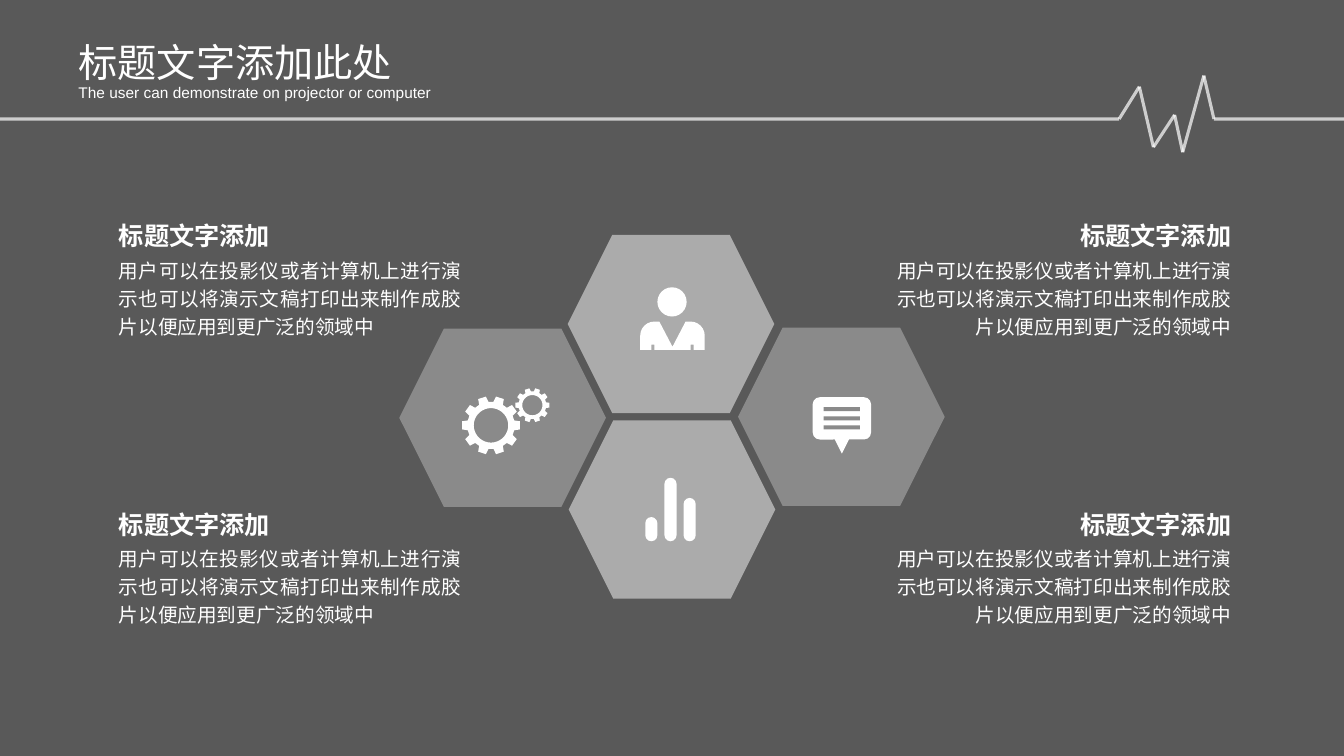
import math
import pptx
import pptx.util
import pptx.dml.color
import pptx.enum.shapes
import pptx.enum.text
import pptx.oxml
import pptx.oxml.ns

Inches = pptx.util.Inches
KIND = pptx.enum.shapes.MSO_SHAPE
ALIGN = pptx.enum.text.PP_ALIGN
FIT = pptx.enum.text.MSO_AUTO_SIZE
ANCHOR = pptx.enum.text.MSO_ANCHOR

COLORS = {"black": "000000", "cell": "FEFEFE", "bar": "8A8A8A", "white": "FFFFFF"}
HEAD = "标题文字添加"
BODY = "用户可以在投影仪或者计算机上进行演示也可以将演示文稿打印出来制作成胶片以便应用到更广泛的领域中"


def color(name):
    """Return the named colour."""
    return pptx.dml.color.RGBColor.from_string(COLORS[name])


def fade(shape, alpha):
    """Make the first colour of a shape see-through, alpha in percent."""
    tint = shape._element.spPr.xpath(".//a:srgbClr")[0]
    tint.append(pptx.oxml.parse_xml(
        '<a:alpha %s val="%d"/>' % (pptx.oxml.ns.nsdecls("a"), alpha * 1000)))


def paint(shape, name):
    """Give a shape a flat fill with no line or shadow."""
    shape.shadow.inherit = False
    shape.fill.solid()
    shape.fill.fore_color.rgb = color(name)
    shape.line.fill.background()


def block(slide, kind, x, y, w, h, name="white"):
    """Add a flat preset shape."""
    shape = slide.shapes.add_shape(kind, Inches(x), Inches(y), Inches(w), Inches(h))
    paint(shape, name)
    return shape


def outline(slide, *loops):
    """Add a white outline made of closed loops."""
    loops = [[(Inches(x), Inches(y)) for x, y in loop] for loop in loops]
    pen = slide.shapes.build_freeform(*loops[0][0])
    pen.add_line_segments(loops[0][1:])
    for loop in loops[1:]:
        pen.move_to(*loop[0])
        pen.add_line_segments(loop[1:])
    paint(pen.convert_to_shape(), "white")


def polar(x, y, r, deg):
    """Return the point at an angle around a centre."""
    turn = math.radians(deg)
    return x + r * math.cos(turn), y + r * math.sin(turn)


def write(frame, text, size, align=ALIGN.LEFT, space=1.0, bold=False):
    """Fill a text frame with one white paragraph."""
    frame.word_wrap = True
    frame.auto_size = FIT.SHAPE_TO_FIT_TEXT
    frame.vertical_anchor = ANCHOR.TOP
    para = frame.paragraphs[0]
    para.text = text
    para.alignment = align
    para.line_spacing = space
    para.font.name = "Arial"
    para.font.size = pptx.util.Pt(size)
    para.font.bold = bold
    para.font.color.rgb = color("white")


def label(slide, x, y, w, h, *style):
    """Add a text box."""
    box = slide.shapes.add_textbox(Inches(x), Inches(y), Inches(w), Inches(h))
    write(box.text_frame, *style)


def header(slide, x, y):
    """Place the title and the line below it."""
    title = slide.shapes.title
    title.left, title.top = Inches(x), Inches(y)
    title.width, title.height = Inches(3.88), Inches(0.57)
    write(title.text_frame, "标题文字添加此处", 28)
    label(slide, x, y + 0.42, 4.35, 0.3,
          "The user can demonstrate on projector or computer", 11, ALIGN.LEFT, 1.14)


def pulse(slide, y, width):
    """Draw the heartbeat rule across the slide."""
    steps = [(0, 0), (11.1, 0), (11.3, -0.32), (11.44, 0.28), (11.65, -0.04),
             (11.73, 0.33), (11.94, -0.43), (12.04, 0), (width, 0)]
    for (x1, y1), (x2, y2) in zip(steps, steps[1:]):
        line = slide.shapes.add_connector(
            pptx.enum.shapes.MSO_CONNECTOR.STRAIGHT,
            Inches(x1), Inches(y + y1), Inches(x2), Inches(y + y2))
        line.line.color.rgb = color("white")
        line.line.width = pptx.util.Pt(2.25)
        fade(line, 70)
        line._element.spPr.append(pptx.oxml.parse_xml(
            "<a:effectLst %s/>" % pptx.oxml.ns.nsdecls("a")))


def gear(slide, x, y, r):
    """Draw a ten-toothed gear around a centre."""
    edge = [polar(x, y, r * part, 36 * tooth + turn) for tooth in range(10)
            for part, turn in ((0.81, -12), (1, -8), (1, 8), (0.81, 12))]
    hole = [polar(x, y, r * 0.59, deg) for deg in range(360, -1, -10)]
    outline(slide, edge + edge[:1], hole)


def gears(slide, x, y):
    """Draw the two gears in a cell."""
    gear(slide, x + 0.91, y + 0.96, 0.29)
    gear(slide, x + 1.32, y + 0.76, 0.17)


def person(slide, x, y):
    """Draw the person in a cell."""
    block(slide, KIND.OVAL, x + 0.89, y + 0.52, 0.29, 0.29)
    mid, top = x + 1.04, y + 0.86
    curve = [polar(0.18, 0.14, 0.14, deg) for deg in range(270, 361, 15)]
    half = [(0, 0.25), (0.13, 0)] + curve + [
        (0.32, 0.28), (0.21, 0.28), (0.21, 0.23), (0.18, 0.23), (0.18, 0.28)]
    right = [(mid + dx, top + dy) for dx, dy in half]
    left = [(mid - dx, top + dy) for dx, dy in reversed(half)]
    outline(slide, right + left)


def speech(slide, x, y):
    """Draw the speech bubble in a cell."""
    block(slide, KIND.FLOWCHART_MERGE, x + 0.95, y + 1.09, 0.16, 0.16)
    bubble = block(slide, KIND.ROUNDED_RECTANGLE, x + 0.74, y + 0.69, 0.58, 0.42)
    bubble.adjustments[0] = 0.17
    for row in range(3):
        block(slide, KIND.RECTANGLE, x + 0.85, y + 0.79 + 0.09 * row, 0.36, 0.04, "bar")


def bars(slide, x, y):
    """Draw the three rounded bars in a cell."""
    for col, tall in enumerate((0.24, 0.63, 0.43)):
        bar = block(slide, KIND.ROUNDED_RECTANGLE,
                    x + 0.76 + 0.19 * col, y + 1.2 - tall, 0.12, tall)
        bar.adjustments[0] = 0.5


def cell(slide, x, y, alpha, icon):
    """Place a hexagon with its icon."""
    fade(block(slide, KIND.HEXAGON, x, y, 2.05, 1.77, "cell"), alpha)
    icon(slide, x, y)


def note(slide, x, y, align):
    """Place a heading and its text on one side."""
    shift = 1.14 if align == ALIGN.RIGHT else 0
    label(slide, x, y + 0.39, 3.59, 0.95, BODY, 14, align, 1.2)
    label(slide, x + shift, y, 2.45, 0.43, HEAD, 18, align, 1.2, True)


def main():
    """Build and save the slide."""
    deck = pptx.Presentation()
    deck.slide_width, deck.slide_height = Inches(13.33), Inches(7.5)
    slide = deck.slides.add_slide(deck.slide_layouts[5])
    slide.background.fill.solid()
    slide.background.fill.fore_color.rgb = color("white")
    fade(block(slide, KIND.RECTANGLE, 0, 0, 13.33, 7.5, "black"), 65)
    cell(slide, 3.96, 3.26, 30, gears)
    cell(slide, 7.32, 3.25, 30, speech)
    cell(slide, 5.63, 2.33, 50, person)
    cell(slide, 5.64, 4.17, 50, bars)
    pulse(slide, 1.18, 13.33)
    header(slide, 0.68, 0.33)
    title = slide.shapes.title._element
    title.getparent().append(title)
    for x, align in ((1.08, ALIGN.JUSTIFY), (8.72, ALIGN.RIGHT)):
        for y in (2.08, 4.94):
            note(slide, x, y, align)
    deck.save("out.pptx")


if __name__ == "__main__":
    main()
